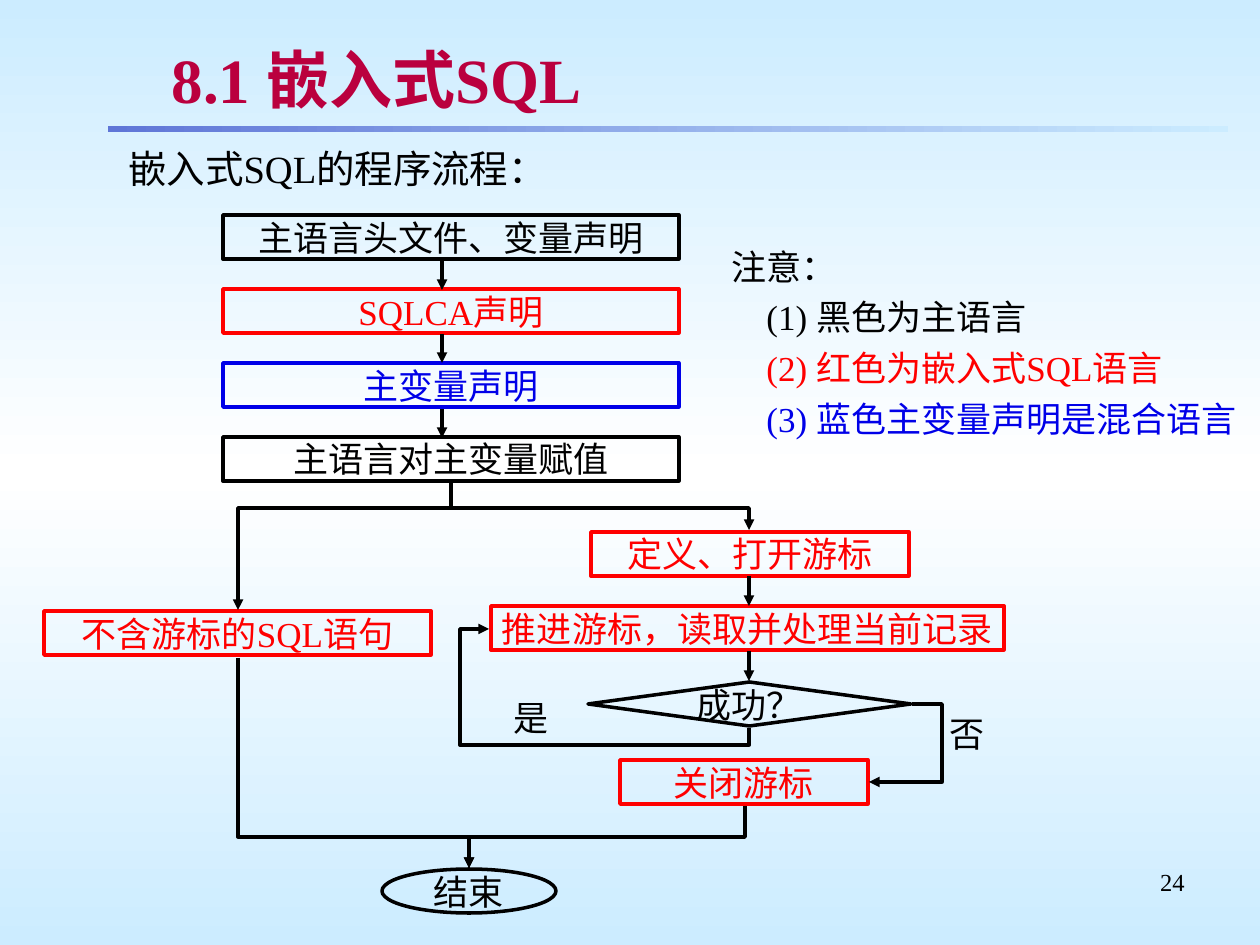
from dataclasses import dataclass

from lxml import etree
from pptx import Presentation
from pptx import util as u
from pptx.dml.color import RGBColor
from pptx.enum import lang, shapes, text
from pptx.oxml.ns import qn

BLACK = RGBColor(0x00, 0x00, 0x00)
RED = RGBColor(0xFF, 0x00, 0x00)
BLUE = RGBColor(0x00, 0x00, 0xE8)
CRIMSON = RGBColor(0xBA, 0x00, 0x3E)
SKY = RGBColor(0xCC, 0xEC, 0xFF)
WHITE = RGBColor(0xFF, 0xFF, 0xFF)
INDIGO = RGBColor(0x5F, 0x76, 0xD7)

SERIF = "Times New Roman"
BOX_HEIGHT = 44
LEFT, CENTER, RIGHT = text.PP_ALIGN.LEFT, text.PP_ALIGN.CENTER, text.PP_ALIGN.RIGHT
RECT, DIAMOND, OVAL = (shapes.MSO_SHAPE.RECTANGLE, shapes.MSO_SHAPE.DIAMOND,
                       shapes.MSO_SHAPE.OVAL)


@dataclass
class Step:
    label: str
    left: int
    top: int
    width: int
    color: RGBColor = RED
    kind: shapes.MSO_SHAPE = RECT


@dataclass
class Elbow:
    """Right-angled arrow; bends are the y and x (or x alone) where it turns."""
    start: tuple[int, int]
    end: tuple[int, int]
    bends: tuple[int, ...]
    leaves_vertically: bool = True


@dataclass
class Label:
    lines: list[tuple[str, RGBColor]]
    left: int
    top: int
    width: int
    height: int
    size: int = 20
    font: str = SERIF
    align: text.PP_ALIGN = LEFT
    wrap: bool = True
    item_indent: int = 0


STEPS = [
    *(Step(label, 223, 215 + 74 * row, 456, color)
      for row, (label, color) in enumerate([
          ("主语言头文件、变量声明", BLACK), ("SQLCA声明", RED),
          ("主变量声明", BLUE), ("主语言对主变量赋值", BLACK)])),
    Step("不含游标的SQL语句", 44, 611, 387),
    Step("定义、打开游标", 591, 532, 318),
    Step("推进游标，读取并处理当前记录", 491, 606, 513),
    Step("成功？", 588, 682, 323, BLACK, DIAMOND),
    Step("关闭游标", 620, 760, 248),
    Step("结束", 382, 869, 174, BLACK, OVAL),
]

# x, top, bottom
DOWN_ARROWS = [(442, 260, 290), (442, 334, 363), (442, 409, 438),
               (749, 576, 606), (749, 651, 681)]

ELBOWS = [
    Elbow((749, 728), (489, 629), (745, 460)),
    Elbow((912, 704), (869, 782), (942,), leaves_vertically=False),
    Elbow((451, 483), (238, 610), (508,)),
    Elbow((451, 483), (749, 530), (508,)),
    Elbow((238, 658), (469, 868), (837,)),
    Elbow((745, 806), (469, 868), (837,)),
]

LABELS = [
    Label([("嵌入式SQL的程序流程：", BLACK)], 116, 139, 1100, 64, size=22),
    Label([("注意：", BLACK), ("(1) 黑色为主语言", BLACK),
           ("(2) 红色为嵌入式SQL语言", RED),
           ("(3) 蓝色主变量声明是混合语言", BLUE)], 719, 239, 541, 203, item_indent=35),
    Label([("否", BLACK)], 937, 706, 60, 55, font="Arial", wrap=False),
    Label([("是", BLACK)], 501, 690, 60, 55, font="Arial", wrap=False),
    Label([("24", BLACK)], 903, 861, 294, 66, size=14, align=RIGHT),
]


def px(length: float) -> u.Emu:
    return u.Emu(round(length * 914400 / 126))


def place(shape, left: int, top: int, width: int, height: int) -> None:
    shape.left, shape.top, shape.width, shape.height = map(px, (left, top, width, height))


def format_text(paragraph, size: int, color: RGBColor, font: str = SERIF,
                bold: bool = False) -> None:
    for run in paragraph.runs:
        run.font.size = u.Pt(size)
        run.font.name = font
        run.font.bold = bold
        run.font.color.rgb = color
        run.font.language_id = lang.MSO_LANGUAGE_ID.SIMPLIFIED_CHINESE


def paint_gradient(fill, element, stops: list[tuple[int, RGBColor]], angle: int) -> None:
    fill.gradient()
    gradient = element.find(".//" + qn("a:gradFill"))
    stop_list = gradient.find(qn("a:gsLst"))
    stop_list.clear()
    for percent, color in stops:
        stop = etree.SubElement(stop_list, qn("a:gs"), pos=str(percent * 1000))
        etree.SubElement(stop, qn("a:srgbClr"), val=str(color))
    gradient.find(qn("a:lin")).set("ang", str(angle * 60000))


def draw_title(title, wording: str) -> None:
    place(title, 159, 37, 1018, 83)
    frame = title.text_frame
    frame.text = wording
    frame.vertical_anchor = text.MSO_ANCHOR.MIDDLE
    frame.auto_size = text.MSO_AUTO_SIZE.NONE
    frame.paragraphs[0].alignment = LEFT
    format_text(frame.paragraphs[0], 36, CRIMSON, bold=True)
    # Text shadow, placed right after the fill
    fill = frame.paragraphs[0].runs[0].font.color and title.element.find(
        ".//" + qn("a:rPr") + "/" + qn("a:solidFill"))
    effects = etree.Element(qn("a:effectLst"))
    shadow = etree.SubElement(effects, qn("a:outerShdw"), dist="25400", dir="2700000")
    etree.SubElement(shadow, qn("a:srgbClr"), val=str(BLACK))
    fill.addnext(effects)


def draw_step(slide, step: Step) -> None:
    box = slide.shapes.add_shape(step.kind, 0, 0, 0, 0)
    place(box, step.left, step.top, step.width, BOX_HEIGHT)
    box.shadow.inherit = False
    box.fill.background()
    box.line.color.rgb = step.color
    box.line.width = u.Pt(2)
    frame = box.text_frame
    frame.text = step.label
    frame.word_wrap = False
    frame.vertical_anchor = text.MSO_ANCHOR.MIDDLE
    frame.paragraphs[0].alignment = CENTER
    format_text(frame.paragraphs[0], 20, step.color)


def draw_arrow(slide, kind: shapes.MSO_CONNECTOR, *ends: float):
    arrow = slide.shapes.add_connector(kind, *map(px, ends))
    arrow.line.color.rgb = BLACK
    arrow.line.width = u.Pt(2)
    properties = arrow.element.spPr
    etree.SubElement(properties.find(qn("a:ln")), qn("a:tailEnd"), type="triangle")
    etree.SubElement(properties, qn("a:effectLst"))
    return arrow


def draw_elbow(slide, elbow: Elbow) -> None:
    (x1, y1), (x2, y2) = elbow.start, elbow.end
    width, height = abs(x2 - x1), abs(y2 - y1)
    rotation, flips = 0, {"flipH": x2 < x1, "flipV": y2 < y1}
    spans = [(x1, x2), (y1, y2)]
    if elbow.leaves_vertically:
        width, height = height, width
        spans.reverse()
        rotation, flips = 270, {"flipH": y2 > y1, "flipV": x2 < x1}
        if all(flips.values()):
            rotation, flips = 90, {}
    left, top = (x1 + x2 - width) / 2, (y1 + y2 - height) / 2
    arrow = draw_arrow(slide, shapes.MSO_CONNECTOR.ELBOW,
                       left, top, left + width, top + height)
    frame = arrow.element.spPr.find(qn("a:xfrm"))
    frame.set("rot", str(rotation * 60000))
    for flip, wanted in flips.items():
        frame.set(flip, str(int(wanted)))
    geometry = arrow.element.spPr.find(qn("a:prstGeom"))
    geometry.set("prst", f"bentConnector{len(elbow.bends) + 2}")
    guides = geometry.find(qn("a:avLst"))
    for number, (bend, (begin, end)) in enumerate(zip(elbow.bends, spans), 1):
        share = round((bend - begin) / (end - begin) * 100000)
        etree.SubElement(guides, qn("a:gd"), name=f"adj{number}", fmla=f"val {share}")


def draw_label(slide, label: Label) -> None:
    box = slide.shapes.add_textbox(0, 0, 0, 0)
    place(box, label.left, label.top, label.width, label.height)
    frame = box.text_frame
    frame.word_wrap = label.wrap
    frame.text = "\n".join(wording for wording, _ in label.lines)
    for row, (paragraph, (_, color)) in enumerate(zip(frame.paragraphs, label.lines)):
        paragraph.alignment = label.align
        if row:
            paragraph.space_before = u.Pt(5)
            paragraph._p.get_or_add_pPr().set("marL", str(px(label.item_indent)))
        format_text(paragraph, label.size, color, label.font)


def main() -> None:
    deck = Presentation()
    deck.slide_width, deck.slide_height = px(1260), px(945)
    slide = deck.slides.add_slide(deck.slide_layouts[5])

    # Background, title and rule
    paint_gradient(slide.background.fill, slide.element,
                   [(0, SKY), (50, WHITE), (100, SKY)], 90)
    rule = slide.shapes.add_shape(RECT, px(108), px(126), px(1120), px(6))
    rule.shadow.inherit = False
    rule.line.fill.background()
    paint_gradient(rule.fill, rule.element, [(0, INDIGO), (100, SKY)], 0)
    draw_title(slide.shapes.title, "8.1 嵌入式SQL")

    # Flowchart
    for step in STEPS:
        draw_step(slide, step)
    for x, top, bottom in DOWN_ARROWS:
        draw_arrow(slide, shapes.MSO_CONNECTOR.STRAIGHT, x, top, x, bottom)
    for elbow in ELBOWS:
        draw_elbow(slide, elbow)

    # Lead-in, notes, branch labels and page number
    for label in LABELS:
        draw_label(slide, label)
    deck.save("out.pptx")


if __name__ == "__main__":
    main()
